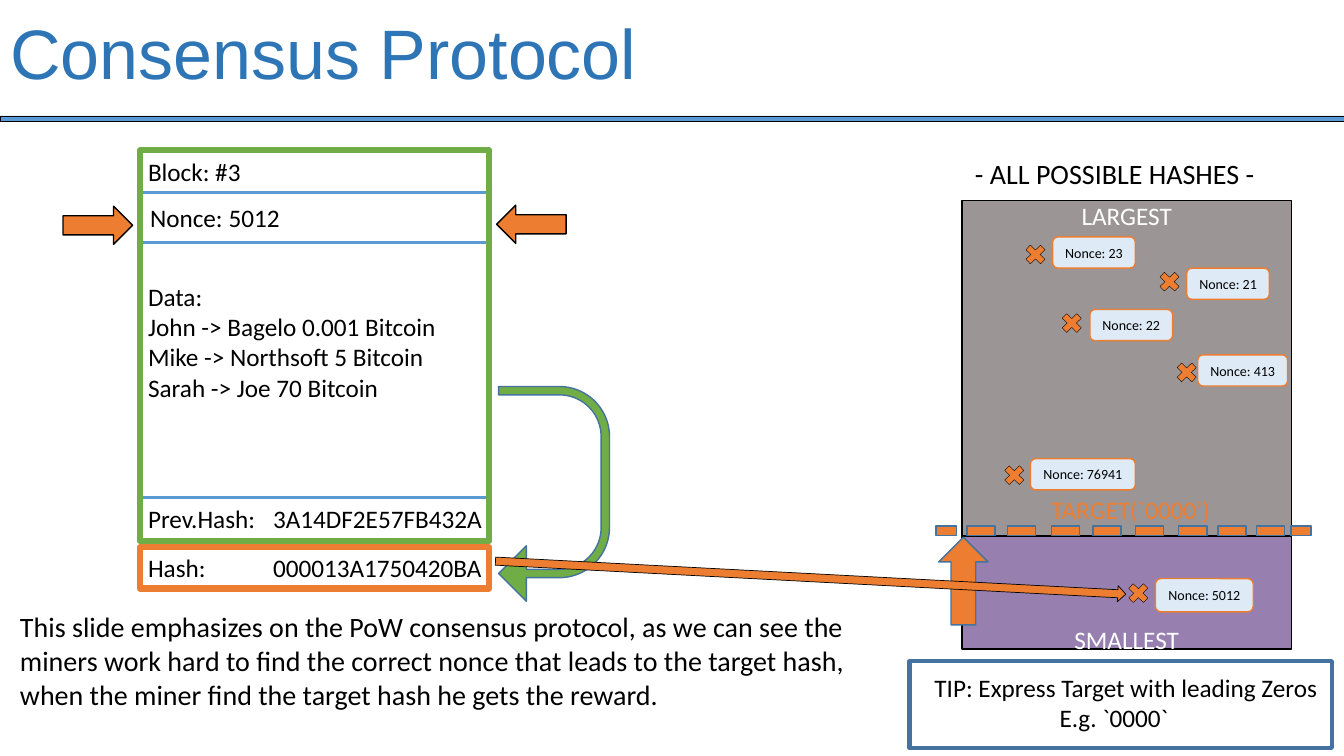
from dataclasses import dataclass

from lxml.etree import SubElement
from pptx import Presentation
from pptx.dml.color import RGBColor
from pptx.enum.shapes import MSO_CONNECTOR, MSO_SHAPE
from pptx.enum.text import MSO_ANCHOR, MSO_AUTO_SIZE, PP_ALIGN
from pptx.oxml.ns import qn
from pptx.util import Inches, Pt


@dataclass(frozen=True)
class Theme:
    heading_font: str = "Arial"
    font: str = "Calibri"
    title_size: int = 50
    lead_size: int = 20
    body_size: int = 18
    tag_size: int = 10
    title: str = "2E75B6"
    black: str = "000000"
    white: str = "FFFFFF"
    blue: str = "5B9BD5"
    outline: str = "43739E"
    green: str = "70AD47"
    orange: str = "ED7D31"
    pale: str = "DEEBF7"
    gray: str = "9B9695"
    purple: str = "9780B0"


THEME = Theme()


def color(value):
    return RGBColor.from_string(value)


def add_run(para, text, size=THEME.body_size, ink=THEME.black, font=THEME.font):
    span = para.add_run()
    span.text = text
    span.font.name = font
    span.font.size = Pt(size)
    span.font.color.rgb = color(ink)


def set_indent(para, left, bullet=True):
    properties = para._p.get_or_add_pPr()
    properties.set("marL", str(Inches(left)))
    properties.set("indent", "0")
    if not bullet:
        SubElement(properties, qn("a:buNone"))


def set_tab(para, position):
    tabs = SubElement(para._p.get_or_add_pPr(), qn("a:tabLst"))
    SubElement(tabs, qn("a:tab"), pos=str(Inches(position)), algn="l")


def place(item, left, top, width, height):
    item.left, item.top = Inches(left), Inches(top)
    item.width, item.height = Inches(width), Inches(height)


def add_shape(page, kind, frame, fill, line, weight=1.0, rotation=0):
    shape = page.shapes.add_shape(kind, *map(Inches, frame))
    shape.shadow.inherit = False
    shape.rotation = rotation
    if fill:
        shape.fill.solid()
        shape.fill.fore_color.rgb = color(fill)
    else:
        shape.fill.background()
    shape.line.color.rgb = color(line)
    shape.line.width = Pt(weight)
    return shape


def add_label(shape, text, size, ink, anchor, bottom=0):
    frame = shape.text_frame
    frame.word_wrap = True
    frame.vertical_anchor = anchor
    frame.margin_left = frame.margin_right = frame.margin_top = 0
    frame.margin_bottom = Inches(bottom)
    para = frame.paragraphs[0]
    para.alignment = PP_ALIGN.CENTER
    add_run(para, text, size, ink)


def add_text(page, frame, lines, size=THEME.body_size, ink=THEME.black, wrap=False):
    box = page.shapes.add_textbox(*map(Inches, frame))
    box.text_frame.word_wrap = wrap
    for index, line in enumerate(lines):
        para = box.text_frame.add_paragraph() if index else box.text_frame.paragraphs[0]
        add_run(para, line, size, ink)
    return box


def add_hash_row(page, top, name, value):
    box = page.shapes.add_textbox(Inches(1.37), Inches(top), Inches(3.56), Inches(0.4))
    box.text_frame.word_wrap = True
    para = box.text_frame.paragraphs[0]
    set_tab(para, 1.24)
    add_run(para, f"{name}\t{value}")


def add_divider(page, top):
    line = page.shapes.add_connector(
        MSO_CONNECTOR.STRAIGHT, Inches(1.39), Inches(top), Inches(4.86), Inches(top))
    line.line.color.rgb = color(THEME.blue)
    line.line.width = Pt(2.25)
    SubElement(line._element.spPr, qn("a:effectLst"))


def add_nonce_mark(page, nonce, cross, tag):
    add_shape(page, MSO_SHAPE.MATH_MULTIPLY, (*cross, 0.28, 0.27),
              THEME.orange, THEME.black, 0.25)
    shape = add_shape(page, MSO_SHAPE.ROUNDED_RECTANGLE, tag, THEME.pale, THEME.orange)
    add_label(shape, f"Nonce: {nonce}", THEME.tag_size, THEME.black, MSO_ANCHOR.MIDDLE)


def add_headings(page):
    title, body = page.placeholders
    place(title, 0, 0, 13.33, 1.13)
    title.text_frame.auto_size = MSO_AUTO_SIZE.NONE
    title.text_frame.vertical_anchor = MSO_ANCHOR.MIDDLE
    para = title.text_frame.paragraphs[0]
    para.alignment = PP_ALIGN.LEFT
    para.line_spacing = 0.9
    add_run(para, "Consensus Protocol", THEME.title_size, THEME.title, THEME.heading_font)
    add_shape(page, MSO_SHAPE.RECTANGLE, (0, 1.15, 13.33, 0.05),
              THEME.blue, THEME.black, 0.25)

    place(body, 0, 1.45, 13.33, 6.05)
    body.text_frame.auto_size = MSO_AUTO_SIZE.NONE
    body.text_frame.margin_top = Inches(0.14)
    para = body.text_frame.paragraphs[0]
    set_indent(para, 9.57, bullet=False)
    para.line_spacing = 0.9
    para.space_before = Pt(0)
    add_run(para, "- ALL POSSIBLE HASHES -", THEME.lead_size)


def add_hash_space(page):
    upper = add_shape(page, MSO_SHAPE.RECTANGLE, (9.54, 1.99, 3.27, 3.33),
                      THEME.gray, THEME.black)
    add_label(upper, "LARGEST", THEME.body_size, THEME.white, MSO_ANCHOR.TOP)
    inner_dashes = [(left, 0.38) for left in
                    (9.54, 9.94, 10.38, 10.79, 11.21, 11.64, 12.03, 12.41)]
    for left, width in [(9.25, 0.27), *inner_dashes, (12.77, 0.27)]:
        add_shape(page, MSO_SHAPE.MATH_MINUS, (left, 5.06, width, 0.41),
                  THEME.orange, THEME.outline)
    lower = add_shape(page, MSO_SHAPE.RECTANGLE, (9.54, 5.32, 3.27, 1.12),
                      THEME.purple, THEME.black)
    add_label(lower, "SMALLEST", THEME.body_size, THEME.white, MSO_ANCHOR.BOTTOM, -0.05)
    add_shape(page, MSO_SHAPE.UP_ARROW, (9.31, 5.33, 0.49, 0.87),
              THEME.orange, THEME.outline)
    add_text(page, (10.33, 4.85, 1.79, 0.4), ["TARGET(`0000’)"], ink=THEME.orange)


def add_tip(page):
    add_shape(page, MSO_SHAPE.RECTANGLE, (9.02, 6.56, 4.19, 0.86),
              None, THEME.outline, 3)
    tip = add_text(page, (9.17, 6.62, 4.1, 0.71),
                   ["TIP: Express Target with leading Zeros", "E.g. `0000`"], wrap=True)
    set_indent(tip.text_frame.paragraphs[1], 1.24)


def add_block(page):
    add_text(page, (1.37, 1.5, 1.13, 0.4), ["Block: #3"])
    add_text(page, (1.39, 1.96, 0.93, 0.4), ["Nonce:"])
    add_text(page, (2.17, 1.96, 0.71, 0.4), ["5012"])
    add_text(page, (1.37, 2.74, 3.17, 1.31),
             ["Data:", "John -> Bagelo 0.001 Bitcoin",
              "Mike -> Northsoft 5 Bitcoin", "Sarah -> Joe 70 Bitcoin"])
    add_hash_row(page, 4.94, "Prev.Hash:", "3A14DF2E57FB432A")
    add_hash_row(page, 5.43, "Hash:", "000013A1750420BA")
    for top in (1.91, 2.41, 4.94):
        add_divider(page, top)
    for top, height, line in ((1.49, 3.88, THEME.green), (5.43, 0.41, THEME.orange)):
        add_shape(page, MSO_SHAPE.RECTANGLE, (1.39, top, 3.46, height), None, line, 4.5)


def add_arrows(page):
    for left, top, rotation in ((0.78, 1.89, 270), (5.08, 1.88, 90)):
        add_shape(page, MSO_SHAPE.DOWN_ARROW, (left, top, 0.38, 0.69),
                  THEME.orange, THEME.black, 1, rotation)
    turn = add_shape(page, MSO_SHAPE.U_TURN_ARROW, (4.43, 4.35, 2.13, 1.1),
                     THEME.green, THEME.outline, 1, 90)
    for index, value in enumerate((0.075, 0.25, 0.25, 0.452, 1)):
        turn.adjustments[index] = value
    add_shape(page, MSO_SHAPE.DOWN_ARROW, (7.96, 2.6, 0.16, 6.26),
              THEME.orange, THEME.black, 0.5, 273)


def main():
    deck = Presentation()
    deck.slide_width, deck.slide_height = Inches(13.33), Inches(7.5)
    page = deck.slides.add_slide(deck.slide_layouts[1])
    add_headings(page)
    add_hash_space(page)
    add_tip(page)
    add_block(page)
    add_arrows(page)
    for nonce, cross, tag in (
        (23, (10.13, 2.39), (10.44, 2.35, 0.82, 0.31)),
        (21, (11.46, 2.66), (11.77, 2.66, 0.82, 0.31)),
        (22, (10.49, 3.07), (10.81, 3.07, 0.82, 0.31)),
        (413, (11.63, 3.56), (11.88, 3.52, 0.89, 0.31)),
        (76941, (9.92, 4.58), (10.22, 4.55, 1.04, 0.31)),
        (5012, (11.15, 5.75), (11.46, 5.74, 0.97, 0.33)),
    ):
        add_nonce_mark(page, nonce, cross, tag)
    add_text(page, (0.1, 6, 8.46, 1.45),
             ["This slide emphasizes on the PoW consensus protocol, as we can see the "
              "miners work hard to find the correct nonce that leads to the target hash, "
              "when the miner find the target hash he gets the reward."],
             THEME.lead_size, wrap=True)
    deck.save("out.pptx")


if __name__ == "__main__":
    main()
